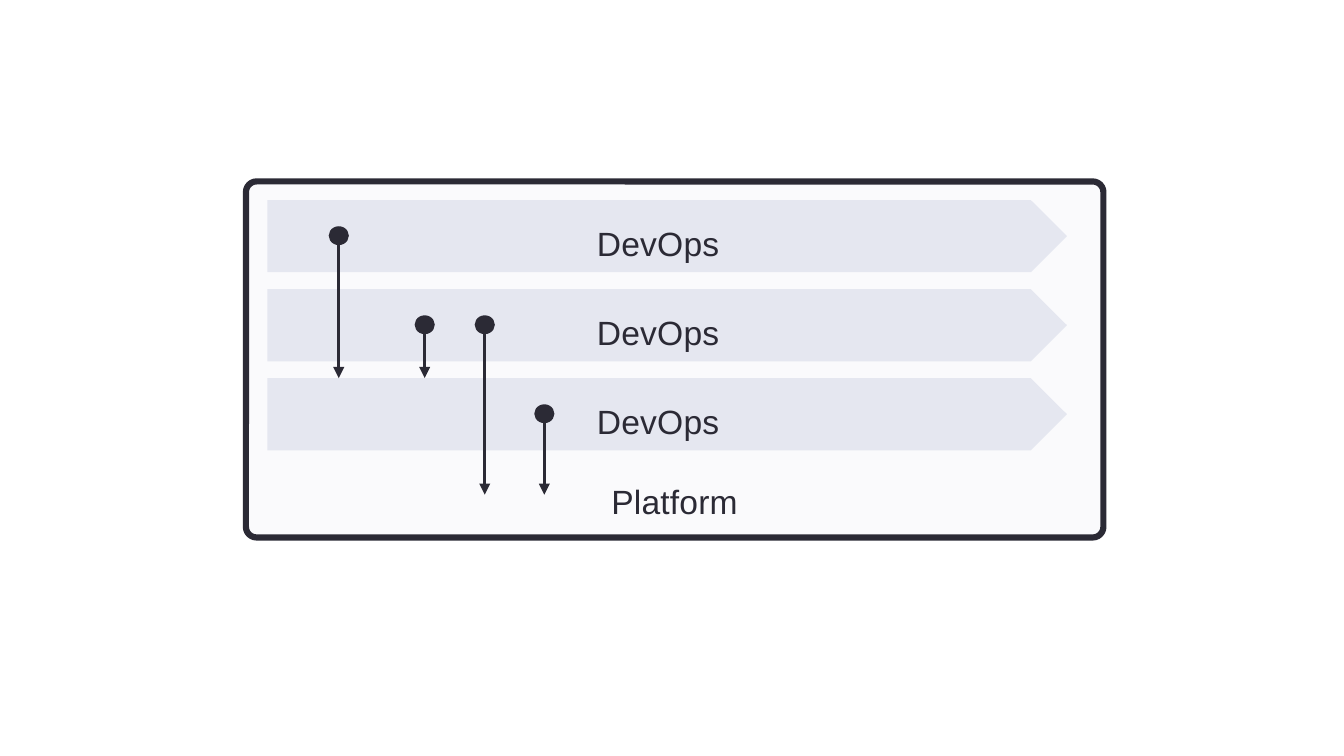
import lxml.etree
import pptx
import pptx.dml.color
import pptx.enum.shapes
import pptx.enum.text
import pptx.oxml.ns
import pptx.util

INK, PALE, MIST = "2B2A35", "FAFAFC", "E5E7F0"
COLS, ROWS = 40, 4
LANES = ["DevOps", "DevOps", "DevOps"]
TOP, TALL, MID = 0.21, 0.81, 0.61
LINKS = [(4.33, 0, 2 + TOP), (8.34, 1, 2 + TOP), (11.14, 1, 3.52), (13.92, 2, 3.52)]
KIND = pptx.enum.shapes.MSO_SHAPE
ANCHOR = pptx.enum.text.MSO_ANCHOR


def rgb(code):
    """Turn a hex string into a colour."""
    return pptx.dml.color.RGBColor.from_string(code)


def cell(box, col, row, wide=0, high=0):
    """Map grid columns and rows of a box to slide lengths."""
    left, top, width, height = box
    x, y = width / COLS, height / ROWS
    return int(left + col * x), int(top + row * y), int(wide * x), int(high * y)


def shape(slide, kind, box, fill):
    """Add a flat filled shape without an outline."""
    item = slide.shapes.add_shape(kind, *box)
    item.shadow.inherit = False
    item.fill.solid()
    item.fill.fore_color.rgb = rgb(fill)
    item.line.fill.background()
    return item


def label(item, text, anchor, side, edge):
    """Write one centred line of text in a shape."""
    frame = item.text_frame
    frame.word_wrap = True
    frame.vertical_anchor = anchor
    frame.margin_left = frame.margin_right = pptx.util.Inches(side)
    frame.margin_top = frame.margin_bottom = pptx.util.Inches(edge)
    para = frame.paragraphs[0]
    para.alignment = pptx.enum.text.PP_ALIGN.CENTER
    para.line_spacing = pptx.util.Pt(28.8)
    run = para.add_run()
    run.text = text
    run.font.size = pptx.util.Pt(18)
    run.font.name = "Arial"
    run.font.color.rgb = rgb(INK)
    run._r.get_or_add_rPr().set("spc", "10")


def link(slide, box, col, lane, end):
    """Draw a dot in a lane and an arrow down to a row."""
    x, y, _, _ = cell(box, col, lane + MID)
    _, foot, _, _ = cell(box, col, end)
    line = slide.shapes.add_connector(
        pptx.enum.shapes.MSO_CONNECTOR.STRAIGHT, x, y, x, foot)
    line.line.color.rgb = rgb(INK)
    line.line.width = pptx.util.Pt(1.67)
    name = pptx.oxml.ns.qn
    tail = lxml.etree.SubElement(line.line._get_or_add_ln(), name("a:tailEnd"))
    tail.set("type", "triangle")
    lxml.etree.SubElement(line._element.spPr, name("a:effectLst"))
    wide, high = pptx.util.Inches(0.15), pptx.util.Inches(0.14)
    shape(slide, KIND.OVAL, (x - wide // 2, y - high // 2, wide, high), INK)


def platform(slide, box):
    """Draw the platform frame with its lanes and links."""
    frame = shape(slide, KIND.ROUNDED_RECTANGLE, box, PALE)
    frame.adjustments[0] = 0.03
    frame.line.color.rgb = rgb(INK)
    frame.line.width = pptx.util.Pt(3.33)
    label(frame, "Platform", ANCHOR.BOTTOM, 0.35, 0.1)
    for row, text in enumerate(LANES):
        lane = shape(slide, KIND.PENTAGON, cell(box, 1, row + TOP, 37.3, TALL), MIST)
        label(lane, text, ANCHOR.MIDDLE, 0.33, 0.06)
    for col, lane, end in LINKS:
        link(slide, box, col, lane, end)


def main():
    """Build and save the slide."""
    deck = pptx.Presentation()
    deck.slide_width = pptx.util.Inches(10)
    deck.slide_height = deck.slide_width * 9 // 16
    slide = deck.slides.add_slide(deck.slide_layouts[6])
    wide, high = deck.slide_width / 100, deck.slide_height / 100
    platform(slide, (int(18.3 * wide), int(24 * high), int(63.8 * wide), int(47.1 * high)))
    deck.save("out.pptx")


if __name__ == "__main__":
    main()
